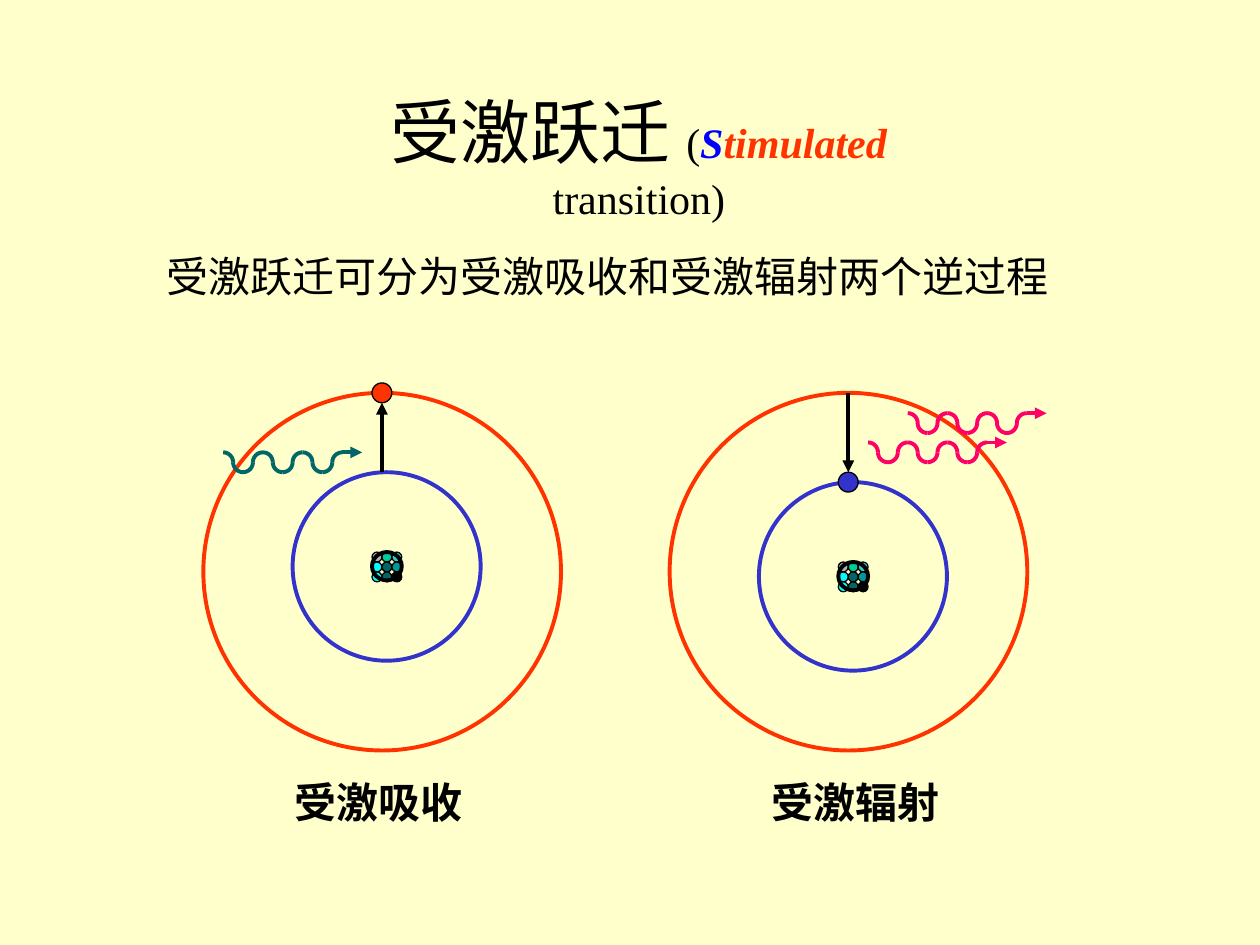
from math import cos, radians, sin

from lxml import etree
from pptx import Presentation
from pptx.dml.color import RGBColor
from pptx.enum import shapes, text
from pptx.oxml import ns
from pptx.util import Cm, Pt

COLORS = {
    "background": "FFFFCC",
    "black": "000000",
    "initial": "0000FF",
    "excited": "FF3300",
    "ground": "3333CC",
    "absorbed": "006666",
    "emitted": "FF0066",
}
NUCLEONS = [
    ["B2B2B2", "00CC99", "33CCCC"],
    ["00FFFF", "006666", "009999"],
    ["00FFFF", "006666", "000000"],
]
UNIT = 0.2
QUARTERS = [(0, -90, 0), (2, 180, 90), (2, 90, 0), (4, 180, 270)]
ARC_STEPS = 8


def rgb(name):
    return RGBColor.from_string(COLORS.get(name, name))


def style_font(font, size, color, name="Times New Roman", bold=False, italic=False):
    font.size = Pt(size)
    font.name = name
    font.bold = bold
    font.italic = italic
    font.color.rgb = rgb(color)


def add_title(slide):
    title = slide.shapes.title
    title.left, title.top, title.width, title.height = Cm(5.69), Cm(1.93), Cm(14.38), Cm(2.41)
    frame = title.text_frame
    frame.word_wrap = True
    frame.auto_size = text.MSO_AUTO_SIZE.NONE
    frame.vertical_anchor = text.MSO_ANCHOR.MIDDLE
    frame.margin_left = frame.margin_right = Cm(0.5)
    paragraph = frame.paragraphs[0]
    paragraph.alignment = text.PP_ALIGN.CENTER
    for words, size, color, strong in [
        ("受激跃迁 ", 40, "black", False),
        ("(", 24, "black", False),
        ("S", 24, "initial", True),
        ("timulated", 24, "excited", True),
        (" transition)", 24, "black", False),
    ]:
        run = paragraph.add_run()
        run.text = words
        style_font(run.font, size, color, bold=strong, italic=strong)


def add_label(slide, words, left, top, width, name="Times New Roman", bold=True):
    box = slide.shapes.add_textbox(Cm(left), Cm(top), Cm(width), Cm(1.27))
    frame = box.text_frame
    frame.word_wrap = True
    frame.text = words
    style_font(frame.paragraphs[0].runs[0].font, 24, "black", name, bold)


def add_circle(slide, left, top, width, height, line, weight, fill=None):
    circle = slide.shapes.add_shape(
        shapes.MSO_SHAPE.OVAL, Cm(left), Cm(top), Cm(width), Cm(height))
    circle.shadow.inherit = False
    if fill:
        circle.fill.solid()
        circle.fill.fore_color.rgb = rgb(fill)
    else:
        circle.fill.background()
    circle.line.color.rgb = rgb(line)
    circle.line.width = Pt(weight)


def add_arrow(slide, start, end, color):
    arrow = slide.shapes.add_connector(
        shapes.MSO_CONNECTOR.STRAIGHT, *(Cm(value) for value in (*start, *end)))
    arrow.line.color.rgb = rgb(color)
    arrow.line.width = Pt(2.25)
    etree.SubElement(arrow.line._get_or_add_ln(), ns.qn("a:tailEnd"), type="triangle")
    etree.SubElement(arrow._element.spPr, ns.qn("a:effectLst"))


def add_arc(slide, center_x, center_y, start, end, color):
    angles = [radians(start + (end - start) * step / ARC_STEPS)
              for step in range(ARC_STEPS + 1)]
    points = [(Cm(center_x + UNIT * cos(angle)), Cm(center_y + UNIT * sin(angle)))
              for angle in angles]
    builder = slide.shapes.build_freeform(*points[0])
    builder.add_line_segments(points[1:], close=False)
    arc = builder.convert_to_shape()
    arc.shadow.inherit = False
    arc.fill.background()
    arc.line.color.rgb = rgb(color)
    arc.line.width = Pt(2.25)


def add_photon(slide, left, top, color):
    for period in range(3):
        for shift, start, end in QUARTERS:
            add_arc(slide, left + UNIT * (4 * period + shift), top + UNIT, start, end, color)
    tip = left + 12 * UNIT
    add_arrow(slide, (tip, top), (tip + 2 * UNIT, top), color)


def add_atom(slide, left, nucleus_top, electron_top, electron_color):
    nucleus_left = left + 3.4
    for row, colors in enumerate(NUCLEONS):
        for column, color in enumerate(colors):
            add_circle(slide, nucleus_left + UNIT * column, nucleus_top + UNIT * row,
                       UNIT, UNIT, "black", 0.75, color)
    add_circle(slide, nucleus_left, nucleus_top, 0.6, 0.57, "black", 2.25)
    add_circle(slide, left + 1.8, nucleus_top - 1.61, 3.79, 3.8, "ground", 2.25)
    add_circle(slide, left, 7.92, 7.21, 7.21, "excited", 2.25)
    add_circle(slide, nucleus_left, electron_top, 0.4, 0.4, "black", 0.75, electron_color)


def main():
    presentation = Presentation()
    presentation.slide_width, presentation.slide_height = Cm(25.4), Cm(19.05)
    slide = presentation.slides.add_slide(presentation.slide_layouts[5])
    slide.background.fill.solid()
    slide.background.fill.fore_color.rgb = rgb("background")

    add_title(slide)
    add_label(slide, "受激跃迁可分为受激吸收和受激辐射两个逆过程",
              3.1, 4.93, 18.39, "Arial", False)

    add_atom(slide, 4.1, 11.13, 7.72, "excited")
    add_arrow(slide, (7.7, 9.52), (7.7, 8.12), "black")
    add_photon(slide, 4.5, 9.12, "absorbed")
    add_label(slide, "受激吸收", 5.69, 15.52, 3.99)

    add_atom(slide, 13.5, 11.33, 9.52, "ground")
    add_arrow(slide, (17.1, 7.92), (17.1, 9.52), "black")
    add_photon(slide, 17.5, 8.92, "emitted")
    add_photon(slide, 18.3, 8.33, "emitted")
    add_label(slide, "受激辐射", 15.3, 15.52, 3.99)

    presentation.save("out.pptx")


if __name__ == "__main__":
    main()
